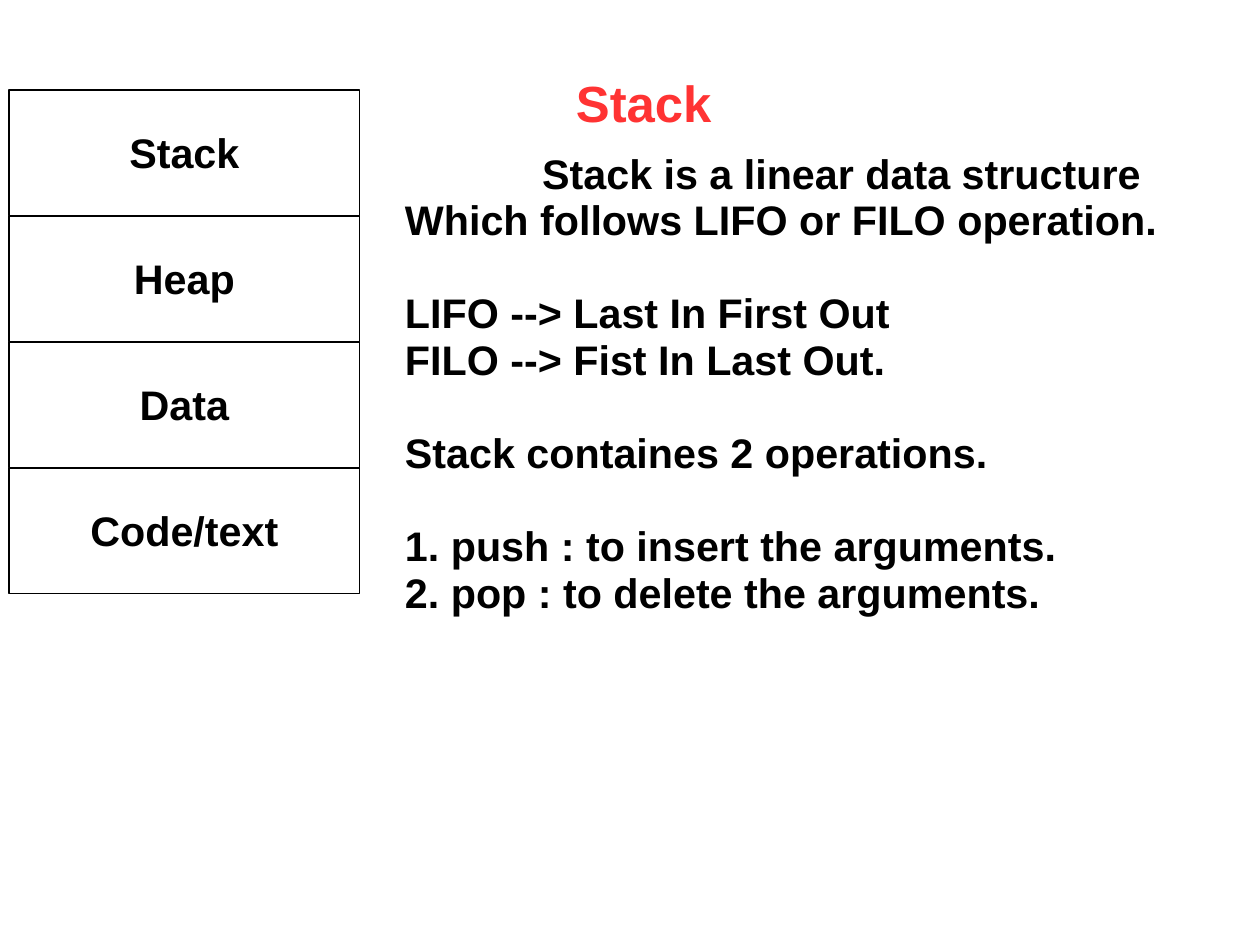
from pptx import Presentation
from pptx.dml.color import RGBColor
from pptx.enum.shapes import MSO_SHAPE
from pptx.enum.text import MSO_ANCHOR, PP_ALIGN
from pptx.util import Cm, Pt


def color(value):
    return RGBColor.from_string(value)


class StackSlide:
    font = "Arial"
    ink = "000000"
    paper = "FFFFFF"
    body_size = 26
    line_spacing = 0.94
    blank_line = 29.3

    def __init__(self, prs):
        self.s = prs.slides.add_slide(prs.slide_layouts[6])

    def set_text(self, sp, text, size, ink, align=PP_ALIGN.LEFT, anchor=MSO_ANCHOR.TOP):
        tf = sp.text_frame
        tf.text = text
        tf.word_wrap = False
        tf.vertical_anchor = anchor
        tf.margin_left = tf.margin_right = Cm(0.25)
        tf.margin_top, tf.margin_bottom = Cm(0.18), Cm(0.13)
        for p in tf.paragraphs:
            p.alignment = align
            p.line_spacing = self.line_spacing
            for r in p.runs:
                r.font.name = self.font
                r.font.size = Pt(size)
                r.font.bold = True
                r.font.color.rgb = color(ink)
        return tf

    def text(self, left, top, width, height, text, size=body_size, ink=ink):
        sp = self.s.shapes.add_textbox(Cm(left), Cm(top), Cm(width), Cm(height))
        return self.set_text(sp, text, size, ink)

    def segment(self, left, top, width, height, label):
        """Draw one labelled block of the memory layout."""
        sp = self.s.shapes.add_shape(
            MSO_SHAPE.RECTANGLE, Cm(left), Cm(top), Cm(width), Cm(height))
        sp.shadow.inherit = False
        sp.fill.solid()
        sp.fill.fore_color.rgb = color(self.paper)
        sp.line.color.rgb = color(self.ink)
        sp.line.width = Pt(0.75)
        self.set_text(sp, label, self.body_size, self.ink,
                      PP_ALIGN.CENTER, MSO_ANCHOR.MIDDLE)

    def explanation(self, left, top, width, height, groups, indent):
        """Set groups of lines, one line's height apart, the first line indented."""
        lines = [line for group in groups for line in group]
        tf = self.text(left, top, width, height, "\n".join(lines))
        tf.paragraphs[0]._p.get_or_add_pPr().set("indent", str(Cm(indent)))
        start = 0
        for group in groups[:-1]:
            start += len(group)
            tf.paragraphs[start].space_before = Pt(self.blank_line)


def main():
    prs = Presentation()
    prs.slide_width, prs.slide_height = Cm(28), Cm(21)
    slide = StackSlide(prs)

    slide.text(12.55, 1.52, 3.53, 1.52, "Stack", 32, "FF3333")

    segment_height = 2.8
    for i, label in enumerate(["Stack", "Heap", "Data", "Code/text"]):
        slide.segment(0.2, 2 + i * segment_height, 7.8, segment_height, label)

    slide.explanation(8.75, 3.2, 17.25, 10.54, [
        ["Stack is a linear data structure",
         "Which follows LIFO or FILO operation."],
        ["LIFO --> Last In First Out",
         "FILO --> Fist In Last Out."],
        ["Stack containes 2 operations."],
        ["1. push : to insert the arguments.",
         "2. pop : to delete the arguments."],
    ], indent=3.05)

    prs.save("out.pptx")


if __name__ == "__main__":
    main()
